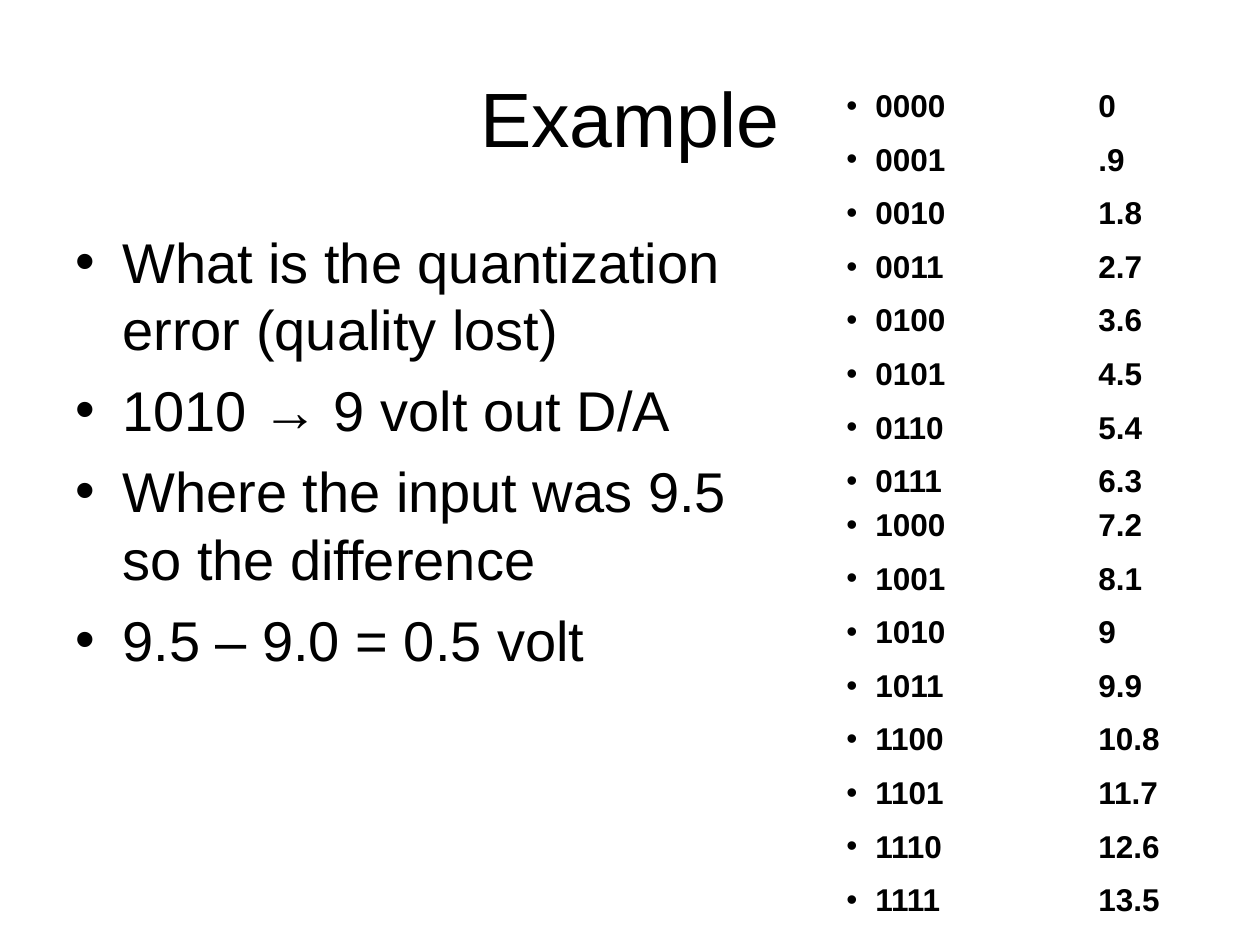
import pptx
import pptx.dml.color
import pptx.enum.shapes
import pptx.enum.text
import pptx.oxml
import pptx.oxml.ns
import pptx.util

SCALE = 914400 / 126  # EMU per px
COLORS = {"text": "000000", "panel": "FFFFFF"}


def place(shape, *bounds):
    for name, value in zip(("left", "top", "width", "height"), bounds):
        setattr(shape, name, pptx.util.Emu(round(value * SCALE)))


def write_lines(frame, lines, indent, bullet, spacing, font_format):
    for number, line in enumerate(lines):
        para = frame.paragraphs[0] if number == 0 else frame.add_paragraph()
        for name, value in spacing.items():
            if number > 0 or name != "space_before":
                setattr(para, name, value)
        props = para._p.get_or_add_pPr()
        if bullet:
            props.set("marL", str(round(indent * SCALE)))
            props.set("indent", str(round(-indent * SCALE)))
            tabs = "".join(f'<a:tab pos="{914400 * inch}" algn="l"/>' for inch in range(1, 9))
            for xml in (
                f'<a:buClr %s><a:srgbClr val="{COLORS["text"]}"/></a:buClr>',
                '<a:buFont %s typeface="Arial"/>',
                f'<a:buChar %s char="{bullet}"/>',
                f"<a:tabLst %s>{tabs}</a:tabLst>",
            ):
                props.append(pptx.oxml.parse_xml(xml % pptx.oxml.ns.nsdecls("a")))
        span = para.add_run()
        span.text = line
        for name, value in font_format.items():
            setattr(span.font, name, value)
        span.font.color.rgb = pptx.dml.color.RGBColor.from_string(COLORS["text"])


deck = pptx.Presentation()
deck.slide_width = pptx.util.Inches(10)
deck.slide_height = pptx.util.Inches(7.5)
page = deck.slides.add_slide(deck.slide_layouts[5])
panel_color = pptx.dml.color.RGBColor.from_string(COLORS["panel"])

# Code tables: upper half last, so that it lies over the lower half
for first, bounds in ((8, (834, 503, 408, 423)), (0, (834, 84, 397, 423))):
    panel = page.shapes.add_shape(pptx.enum.shapes.MSO_SHAPE.RECTANGLE, 0, 0, 0, 0)
    place(panel, *bounds)
    panel.shadow.inherit = False
    panel.fill.solid()
    panel.fill.fore_color.rgb = panel_color
    if first == 0:
        panel.line.color.rgb = panel_color
        panel.line.width = pptx.util.Pt(0.75)
    else:
        panel.line.fill.background()
    panel.text_frame.word_wrap = True
    panel.text_frame.vertical_anchor = pptx.enum.text.MSO_ANCHOR.TOP
    rows = []
    for code in range(first, first + 8):
        volts = f"{code * 0.9:.3g}".lstrip("0") or "0"
        rows.append(f"{code:04b}\t\t{volts}")
    write_lines(
        panel.text_frame, rows, 29, "•",
        {"alignment": pptx.enum.text.PP_ALIGN.LEFT, "line_spacing": 0.9,
         "space_before": pptx.util.Pt(11.2)},
        {"name": "Arial", "size": pptx.util.Pt(18), "bold": True},
    )

# Title, in front of the tables
title = page.shapes.title
place(title, 63, 38, 1134, 157)
title.element.getparent().append(title.element)
title.text_frame.vertical_anchor = pptx.enum.text.MSO_ANCHOR.MIDDLE
write_lines(
    title.text_frame, ["Example"], 0, None,
    {"alignment": pptx.enum.text.PP_ALIGN.CENTER},
    {"name": "Arial", "size": pptx.util.Pt(44)},
)

# Question and answer
body = page.shapes.add_textbox(0, 0, 0, 0)
place(body, 63, 221, 735, 624)
body.text_frame.word_wrap = True
write_lines(
    body.text_frame,
    [
        "What is the quantization error (quality lost)",
        "1010 → 9 volt out D/A",
        "Where the input was 9.5 so the difference",
        "9.5 – 9.0 = 0.5 volt",
    ],
    47, "•",
    {"space_before": pptx.util.Pt(8)},
    {"name": "Arial", "size": pptx.util.Pt(32)},
)

deck.save("out.pptx")
